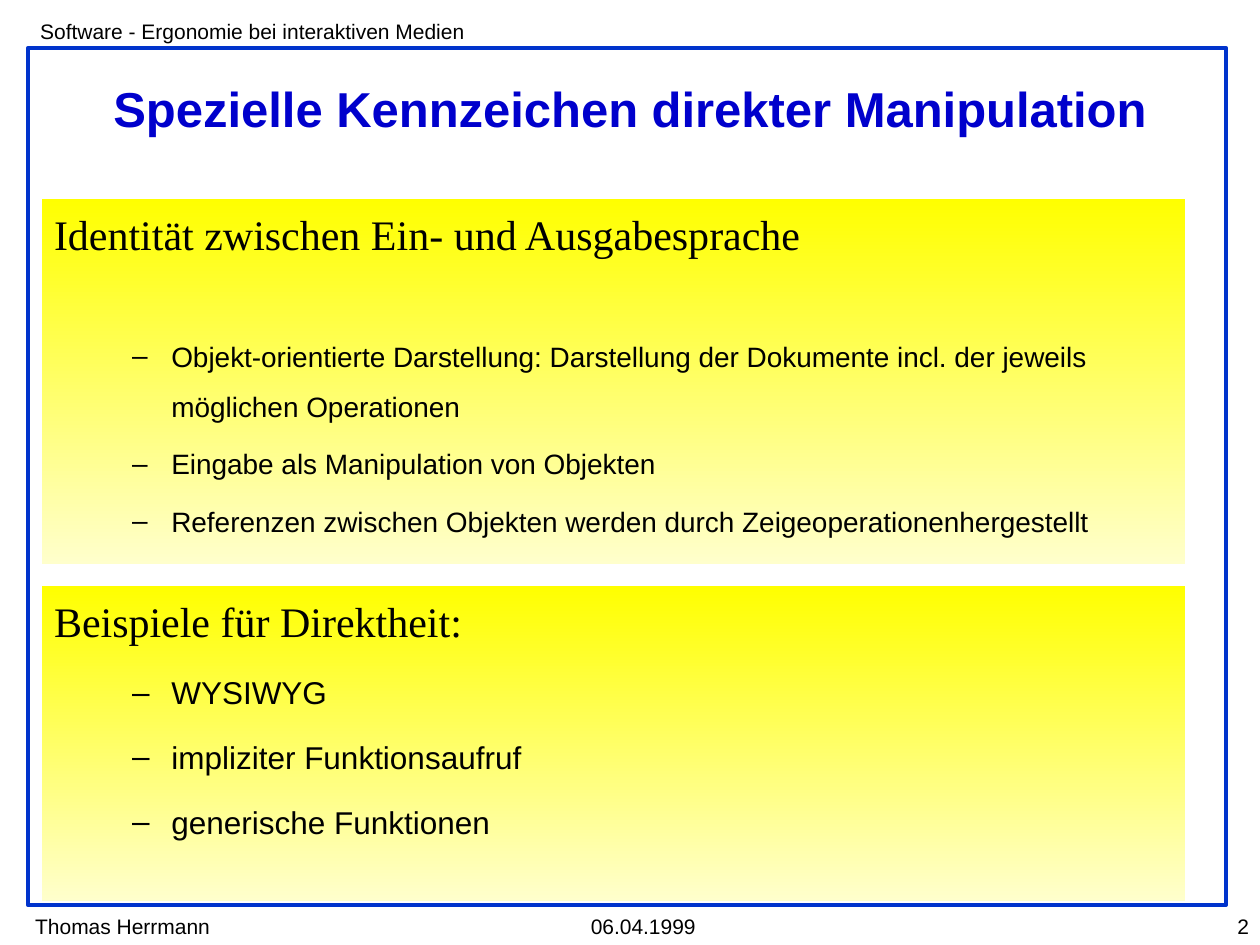
from typing import NamedTuple

import pptx
import pptx.util
import pptx.dml.color
import pptx.enum.shapes
import pptx.enum.text
from lxml import etree
from pptx.oxml.ns import qn

Cm, Pt = pptx.util.Cm, pptx.util.Pt
RGBColor = pptx.dml.color.RGBColor
ALIGN = pptx.enum.text.PP_ALIGN
ANCHOR = pptx.enum.text.MSO_ANCHOR
RECTANGLE = pptx.enum.shapes.MSO_SHAPE.RECTANGLE

BLACK = RGBColor(0x00, 0x00, 0x00)
FRAME_BLUE = RGBColor(0x00, 0x33, 0xCC)
TITLE_BLUE = RGBColor(0x00, 0x00, 0xCC)
YELLOW = RGBColor(0xFF, 0xFF, 0x00)
PALE_YELLOW = RGBColor(0xFF, 0xFF, 0xCC)

PANEL_LEFT, PANEL_WIDTH = 0.84, 23.06
LIST_LEFT, LIST_WIDTH = 1.07, 22.86
FOOTER_TOP, LABEL_HEIGHT = 18.29, 0.76


class Label(NamedTuple):
    text: str
    left: float
    top: float
    width: float
    align: ALIGN = ALIGN.LEFT


class Section(NamedTuple):
    """A yellow panel with a heading and its list; lengths in cm."""
    heading: str
    top: float
    height: float
    list_top: float
    list_height: float
    size: float
    space: float
    items: tuple[str, ...]


LABELS = (
    Label("Software - Ergonomie bei interaktiven Medien", 0.56, 0.25, 9.4),
    Label("Thomas Herrmann", 0.46, FOOTER_TOP, 4.04),
    Label("06.04.1999", 11.66, FOOTER_TOP, 2.62),
    Label("2", 22.99, FOOTER_TOP, 2.44, ALIGN.RIGHT),
)

SECTIONS = (
    Section("Identität zwischen Ein- und Ausgabesprache", 4.01, 7.37, 5.31, 5.66, 16, 4, (
        "Objekt-orientierte Darstellung: Darstellung der Dokumente incl. "
        "der jeweils möglichen Operationen",
        "Eingabe als Manipulation von Objekten",
        "Referenzen zwischen Objekten werden durch Zeigeoperationenhergestellt",
    )),
    Section("Beispiele für Direktheit:", 11.81, 6.35, 12.07, 5, 18, 4.5, (
        "WYSIWYG",
        "impliziter Funktionsaufruf",
        "generische Funktionen",
    )),
)


def place(sp, left: float, top: float, width: float, height: float) -> None:
    sp.left, sp.top, sp.width, sp.height = Cm(left), Cm(top), Cm(width), Cm(height)


def add_text(p, text: str, size: float, font: str = "Arial",
             color: RGBColor = BLACK, bold: bool = False) -> None:
    r = p.add_run()
    r.text = text
    r.font.size, r.font.name, r.font.bold = Pt(size), font, bold
    r.font.color.rgb = color


def add_rectangle(s, left: float, top: float, width: float, height: float):
    sp = s.shapes.add_shape(RECTANGLE, Cm(left), Cm(top), Cm(width), Cm(height))
    sp.shadow.inherit = False
    return sp


def add_frame(s) -> None:
    sp = add_rectangle(s, 0.56, 0.97, 24.16, 17.27)
    sp.fill.background()
    sp.line.color.rgb = FRAME_BLUE
    sp.line.width = Pt(2.25)


def add_label(s, label: Label) -> None:
    sp = s.shapes.add_textbox(Cm(label.left), Cm(label.top), Cm(label.width), Cm(LABEL_HEIGHT))
    sp.text_frame.word_wrap = True
    p = sp.text_frame.paragraphs[0]
    p.alignment = label.align
    add_text(p, label.text, 12)


def add_panel(s, section: Section) -> None:
    sp = add_rectangle(s, PANEL_LEFT, section.top, PANEL_WIDTH, section.height)
    sp.line.fill.background()
    sp.fill.gradient()
    sp.fill.gradient_angle = 270
    for stop, color in zip(sp.fill.gradient_stops, (YELLOW, PALE_YELLOW)):
        stop.color.rgb = color
    tf = sp.text_frame
    tf.word_wrap = True
    tf.vertical_anchor = ANCHOR.TOP
    tf.margin_top = Cm(0.2)
    p = tf.paragraphs[0]
    p.alignment = ALIGN.LEFT
    add_text(p, section.heading, 24, "Times New Roman")


def set_dash_bullet(p) -> None:
    pPr = p._p.get_or_add_pPr()
    pPr.set("marL", str(Cm(2.13)))
    pPr.set("indent", str(-Cm(0.79)))
    color = etree.SubElement(pPr, qn("a:buClr"))
    etree.SubElement(color, qn("a:srgbClr"), val=str(BLACK))
    etree.SubElement(pPr, qn("a:buFont"), typeface="Arial")
    etree.SubElement(pPr, qn("a:buChar"), char="–")


def bring_to_front(sp) -> None:
    sp.element.getparent().append(sp.element)


def fill_title(sp) -> None:
    place(sp, 1.27, 1.47, 22.86, 1.42)
    tf = sp.text_frame
    tf.auto_size = pptx.enum.text.MSO_AUTO_SIZE.NONE
    tf.vertical_anchor = ANCHOR.MIDDLE
    p = tf.paragraphs[0]
    p.alignment = ALIGN.CENTER
    add_text(p, "Spezielle Kennzeichen direkter Manipulation", 28, color=TITLE_BLUE, bold=True)
    bring_to_front(sp)


def fill_list(sp, section: Section) -> None:
    place(sp, LIST_LEFT, section.list_top, LIST_WIDTH, section.list_height)
    tf = sp.text_frame
    tf.auto_size = pptx.enum.text.MSO_AUTO_SIZE.NONE
    tf.vertical_anchor = ANCHOR.BOTTOM
    for i, item in enumerate(section.items):
        p = tf.add_paragraph() if i else tf.paragraphs[0]
        p.level = 1
        set_dash_bullet(p)
        p.line_spacing = 1.5
        p.space_before = Pt(section.space if i else 0)
        add_text(p, item, section.size)
    bring_to_front(sp)


def main() -> None:
    prs = pptx.Presentation()
    prs.slide_width, prs.slide_height = Cm(25.4), Cm(19.05)
    s = prs.slides.add_slide(prs.slide_layouts.get_by_name("Two Content"))
    title, *lists = s.placeholders

    add_frame(s)
    for label in LABELS:
        add_label(s, label)
    fill_title(title)
    for section, sp in zip(SECTIONS, lists):
        add_panel(s, section)
        fill_list(sp, section)
    prs.save("out.pptx")


if __name__ == "__main__":
    main()
